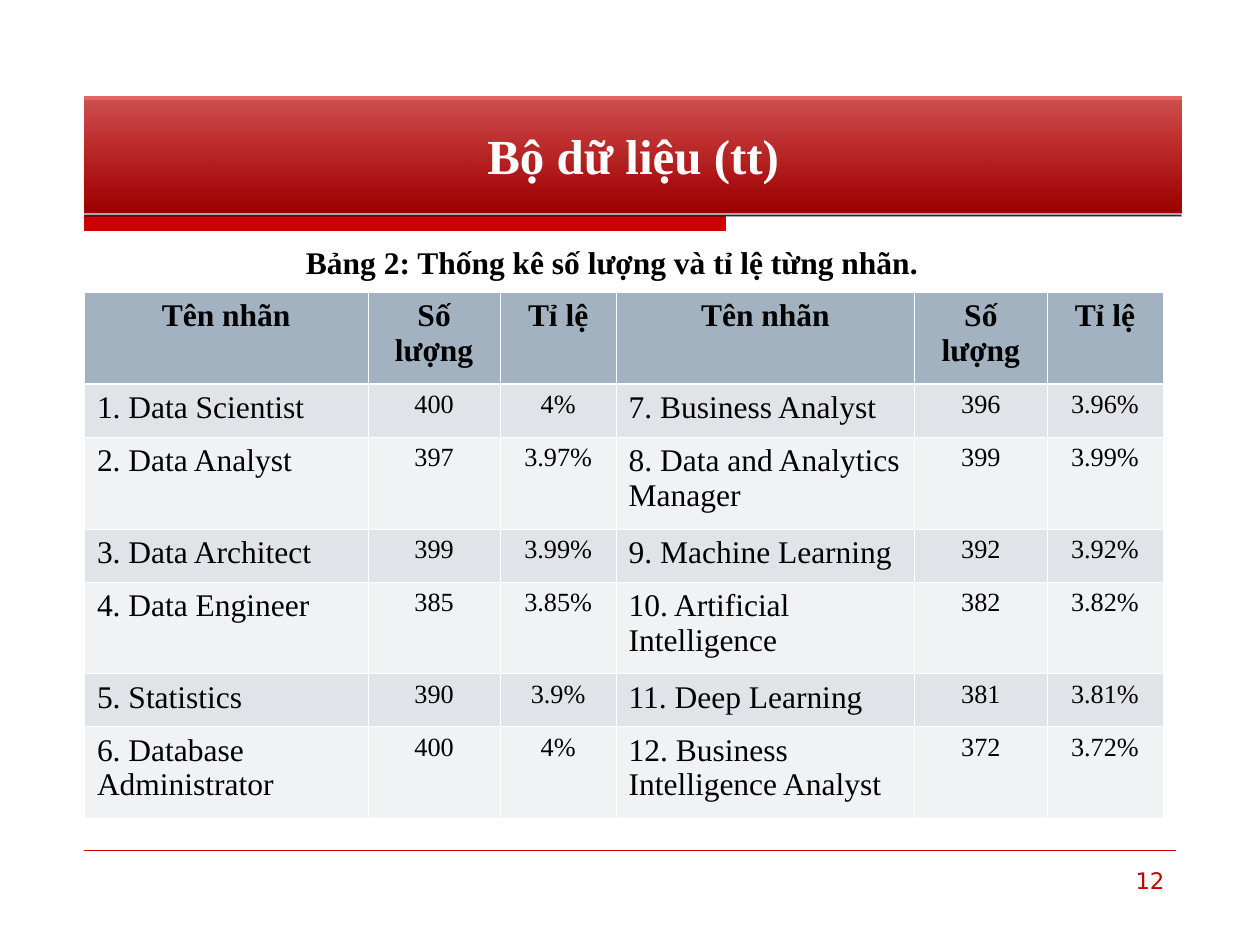
from dataclasses import dataclass

from lxml.etree import SubElement
from pptx import Presentation
from pptx.dml.color import RGBColor
from pptx.enum.shapes import MSO_CONNECTOR, MSO_SHAPE
from pptx.enum.text import MSO_ANCHOR, PP_ALIGN
from pptx.oxml import parse_xml
from pptx.oxml.ns import nsdecls, qn
from pptx.util import Inches, Pt

WIDTH, HEIGHT = Inches(10), Inches(7.5)
SERIF = "Times New Roman"
RED, WHITE, BLACK = "CC0000", "FFFFFF", "000000"
HEADER_FILL, BAND_FILLS = "A3B2C1", ("E0E4E9", "F0F2F4")
THIN, THICK = 0.45, 1.47
LEFT_EDGE = 6.7

COLUMN_SHARES = (22.5, 10.5, 9.2, 23.7, 10.5, 9.2)
TALL_ROW, SHORT_ROW = 9.73, 5.6
HEADINGS = ("Tên nhãn", "Số lượng", "Tỉ lệ") * 2
LABEL_ROWS = (
    ("1. Data Scientist", "400", "4%", "7. Business Analyst", "396", "3.96%"),
    ("2. Data Analyst", "397", "3.97%", "8. Data and Analytics Manager", "399", "3.99%"),
    ("3. Data Architect", "399", "3.99%", "9. Machine Learning", "392", "3.92%"),
    ("4. Data Engineer", "385", "3.85%", "10. Artificial Intelligence", "382", "3.82%"),
    ("5. Statistics", "390", "3.9%", "11. Deep Learning", "381", "3.81%"),
    ("6. Database Administrator", "400", "4%", "12. Business Intelligence Analyst", "372", "3.72%"),
)


@dataclass(frozen=True)
class Area:
    """A box in percent of the slide's width and height."""
    left: float
    top: float
    width: float
    height: float

    def box(self) -> tuple:
        return across(self.left), down(self.top), across(self.width), down(self.height)


@dataclass(frozen=True)
class TextStyle:
    size: float
    color: str = BLACK
    bold: bool = False
    align: PP_ALIGN = PP_ALIGN.LEFT
    font: str = SERIF


TITLE = TextStyle(28, WHITE, True, PP_ALIGN.CENTER)
CAPTION = TextStyle(18, bold=True)
HEADING = TextStyle(18, bold=True, align=PP_ALIGN.CENTER)
LABEL = TextStyle(18)
FIGURE = TextStyle(15, align=PP_ALIGN.CENTER)
PAGE_NUMBER = TextStyle(13, "C00000", align=PP_ALIGN.RIGHT, font="DejaVu Sans")


def across(share: float) -> int:
    return round(WIDTH * share / 100)


def down(share: float) -> int:
    return round(HEIGHT * share / 100)


def color(value: str) -> RGBColor:
    return RGBColor.from_string(value)


def write(text_frame, text: str, style: TextStyle) -> None:
    paragraph = text_frame.paragraphs[0]
    paragraph.alignment = style.align
    run = paragraph.add_run()
    run.text = text
    run.font.name = style.font
    run.font.size = Pt(style.size)
    run.font.bold = style.bold
    run.font.color.rgb = color(style.color)


def add_text(slide, area: Area, text: str, style: TextStyle) -> None:
    text_frame = slide.shapes.add_textbox(*area.box()).text_frame
    text_frame.word_wrap = True
    write(text_frame, text, style)


def add_accent_bar(slide) -> None:
    """A short bar whose top edge runs on as a thin line."""
    left, top, right, bottom = across(LEFT_EDGE), down(22.8), across(57.6), down(24.4)
    builder = slide.shapes.build_freeform(left, top, scale=1.0)
    builder.add_line_segments([(right, top), (right, bottom), (left, bottom)], close=True)
    builder.move_to(left, top)
    builder.add_line_segments([(across(93.7), top)], close=False)
    shape = builder.convert_to_shape()
    shape.shadow.inherit = False
    shape.fill.solid()
    shape.fill.fore_color.rgb = color(RED)
    shape.line.color.rgb = color(RED)
    shape.line.width = Pt(0.75)


def add_footer_rule(slide) -> None:
    rule = slide.shapes.add_connector(
        MSO_CONNECTOR.STRAIGHT, across(LEFT_EDGE), down(90), across(93.3), down(90))
    rule.line.color.rgb = color(RED)
    rule.line.width = Pt(0.25)
    SubElement(rule._element.spPr, qn("a:effectLst"))


def add_title_banner(slide, area: Area, text: str) -> None:
    shape = slide.shapes.add_shape(MSO_SHAPE.RECTANGLE, *area.box())
    shape.shadow.inherit = False
    shape.line.fill.background()
    properties = shape._element.spPr
    # Gradient running upwards into a see-through red
    gradient = parse_xml(
        f'<a:gradFill {nsdecls("a")} rotWithShape="1"><a:gsLst>'
        '<a:gs pos="0"><a:srgbClr val="9D0000"/></a:gs>'
        '<a:gs pos="100000"><a:srgbClr val="D30000"><a:alpha val="60000"/></a:srgbClr></a:gs>'
        '</a:gsLst><a:lin ang="16200000" scaled="0"/></a:gradFill>')
    properties.find(qn("a:prstGeom")).addnext(gradient)
    # Sharp shadow just below the banner
    properties.find(qn("a:effectLst")).append(parse_xml(
        f'<a:outerShdw {nsdecls("a")} blurRad="0" dist="{Pt(1.8)}" dir="5400000" rotWithShape="0">'
        f'<a:srgbClr val="{BLACK}"><a:alpha val="35000"/></a:srgbClr></a:outerShdw>'))
    shape.text_frame.word_wrap = True
    shape.text_frame.vertical_anchor = MSO_ANCHOR.MIDDLE
    write(shape.text_frame, text, TITLE)


def set_borders(cell, top: float, bottom: float) -> None:
    properties = cell._tc.get_or_add_tcPr()
    widths = {"lnL": THIN, "lnR": THIN, "lnT": top, "lnB": bottom}
    for position, (tag, width) in enumerate(widths.items()):
        properties.insert(position, parse_xml(
            f'<a:{tag} {nsdecls("a")} w="{Pt(width)}"><a:solidFill>'
            f'<a:srgbClr val="{WHITE}"/></a:solidFill></a:{tag}>'))


def add_label_table(slide, left: float, top: float) -> None:
    rows = (HEADINGS, *LABEL_ROWS)
    heights = [SHORT_ROW if index % 2 else TALL_ROW for index in range(len(rows))]
    area = Area(left, top, sum(COLUMN_SHARES), sum(heights))
    table = slide.shapes.add_table(len(rows), len(COLUMN_SHARES), *area.box()).table
    table.horz_banding = False
    for column, share in zip(table.columns, COLUMN_SHARES):
        column.width = across(share)
    for row_index, texts in enumerate(rows):
        table.rows[row_index].height = down(heights[row_index])
        is_header = row_index == 0
        fill = HEADER_FILL if is_header else BAND_FILLS[(row_index - 1) % 2]
        for column_index, text in enumerate(texts):
            cell = table.cell(row_index, column_index)
            cell.fill.solid()
            cell.fill.fore_color.rgb = color(fill)
            set_borders(cell, THICK if row_index == 1 else THIN, THICK if is_header else THIN)
            body_style = LABEL if column_index % 3 == 0 else FIGURE
            write(cell.text_frame, text, HEADING if is_header else body_style)


def main() -> None:
    presentation = Presentation()
    presentation.slide_width, presentation.slide_height = WIDTH, HEIGHT
    slide = presentation.slides.add_slide(presentation.slide_layouts[6])

    # Frame of the slide
    add_accent_bar(slide)
    add_footer_rule(slide)
    add_title_banner(slide, Area(LEFT_EDGE, 10.27, 87.1, 12.27), "Bộ dữ liệu (tt)")

    # Captioned table and page number
    add_text(slide, Area(23.3, 25.07, 70.8, 5.33),
             "Bảng 2: Thống kê số lượng và tỉ lệ từng nhãn.", CAPTION)
    add_label_table(slide, LEFT_EDGE, 30.93)
    add_text(slide, Area(71.7, 91.07, 21.7, 6.93), "12", PAGE_NUMBER)

    presentation.save("out.pptx")


if __name__ == "__main__":
    main()
